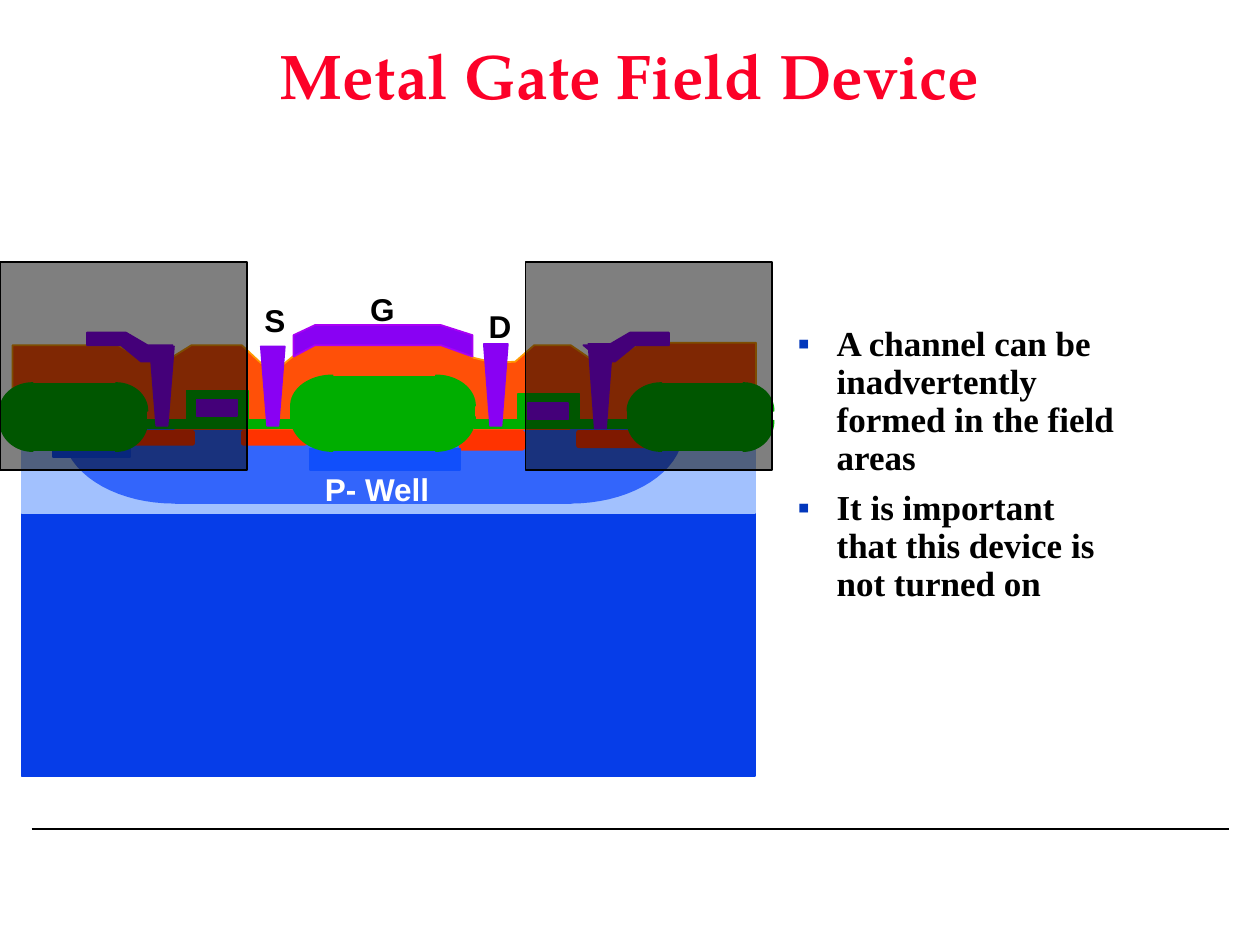
import math

from lxml import etree
from pptx import Presentation
from pptx.dml.color import RGBColor
from pptx.enum import shapes, text
from pptx.oxml.ns import qn
from pptx.util import Inches, Pt

BLACK = RGBColor(0x00, 0x00, 0x00)
WHITE = RGBColor(0xFF, 0xFF, 0xFF)
TITLE_RED = RGBColor(0xFC, 0x01, 0x28)
BULLET_BLUE = RGBColor(0x02, 0x37, 0xBC)
INSULATOR = RGBColor(0xFF, 0x50, 0x08)
INSULATOR_EDGE = RGBColor(0xFE, 0x9B, 0x03)
SUBSTRATE = RGBColor(0x06, 0x3D, 0xE8)
EPI = RGBColor(0xA2, 0xC1, 0xFE)
WELL = RGBColor(0x33, 0x65, 0xFB)
CHANNEL = RGBColor(0x11, 0x4F, 0xFB)
OXIDE = RGBColor(0x00, 0xAE, 0x00)
DIFFUSION = RGBColor(0xFF, 0x33, 0x00)
METAL = RGBColor(0x89, 0x01, 0xF3)
GATE_EDGE = RGBColor(0xAA, 0x01, 0xF5)

RECT = shapes.MSO_SHAPE.RECTANGLE
ROUND = shapes.MSO_SHAPE.ROUNDED_RECTANGLE


class Region:
    """Draws on a slide, with lengths in inches from a box's top left corner."""

    def __init__(self, slide, left, top):
        self.shapes, self.left, self.top = slide.shapes, left, top

    def at(self, x, y):
        return Inches(self.left + x), Inches(self.top + y)

    def paint(self, sp, fill, line=None):
        sp.shadow.inherit = False
        sp.fill.solid()
        sp.fill.fore_color.rgb = fill
        sp.line.color.rgb = fill if line is None else line
        sp.line.width = Pt(1)
        return sp

    def block(self, x, y, w, h, fill, line=None, kind=RECT):
        sp = self.shapes.add_shape(kind, *self.at(x, y), Inches(w), Inches(h))
        if kind == ROUND:
            sp.adjustments[0] = 0.125
        return self.paint(sp, fill, line)

    def outline(self, points, fill, line=None):
        start, *rest = [self.at(x, y) for x, y in points]
        builder = self.shapes.build_freeform(*start)
        builder.add_line_segments(rest, close=True)
        return self.paint(builder.convert_to_shape(), fill, line)

    def quarter(self, cx, cy, rx, ry, fill):
        """Quarter ellipse; the signs of rx and ry choose the quadrant."""
        angles = [math.radians(a) for a in range(0, 91, 5)]
        arc = [(cx + rx * math.cos(a), cy + ry * math.sin(a)) for a in angles]
        self.outline([(cx, cy)] + arc, fill)

    def label(self, x, y, w, words, color):
        box = self.shapes.add_textbox(*self.at(x, y), Inches(w), Inches(0.4))
        tf = box.text_frame
        tf.word_wrap = False
        add_run(tf.paragraphs[0], words, "Arial", 18, color)


def add_run(p, words, font, size, color):
    r = p.add_run()
    r.text = words
    r.font.name, r.font.size, r.font.bold = font, Pt(size), True
    r.font.color.rgb = color


def place(sp, left, top, width, height):
    sp.left, sp.top = Inches(left), Inches(top)
    sp.width, sp.height = Inches(width), Inches(height)
    sp.text_frame.auto_size = text.MSO_AUTO_SIZE.NONE


def add_bullet(p, color, char):
    pPr = p._p.get_or_add_pPr()
    pPr.set("marL", str(Inches(0.31)))
    pPr.set("indent", str(-Inches(0.31)))
    clr = etree.SubElement(pPr, qn("a:buClr"))
    etree.SubElement(clr, qn("a:srgbClr"), val=str(color))
    etree.SubElement(pPr, qn("a:buChar"), char=char)


def add_title(slide, box, words):
    sp = slide.shapes.title
    place(sp, *box)
    sp.text_frame.vertical_anchor = text.MSO_ANCHOR.MIDDLE
    p = sp.text_frame.paragraphs[0]
    p.alignment, p.line_spacing = text.PP_ALIGN.CENTER, 0.9
    add_run(p, words, "TeX Gyre Pagella", 36, TITLE_RED)


def add_points(slide, box, points):
    sp = slide.placeholders[1]
    place(sp, *box)
    tf = sp.text_frame
    for i, words in enumerate(points):
        p = tf.add_paragraph() if i else tf.paragraphs[0]
        p.line_spacing, p.space_before = 0.9, Pt(7.5)
        add_bullet(p, BULLET_BLUE, "▪")
        add_run(p, words, "Times New Roman", 20, BLACK)


def add_footer_rule(slide, left, right, y):
    line = slide.shapes.add_connector(
        shapes.MSO_CONNECTOR.STRAIGHT,
        Inches(left), Inches(y), Inches(right), Inches(y))
    line.line.color.rgb = BLACK
    line.line.width = Pt(1)
    etree.SubElement(line._element.spPr, qn("a:effectLst"))


def draw_silicon(area):
    contour = [
        (0.1, 1.41), (0.1, 0.74), (0.94, 0.74), (1.15, 0.86), (1.31, 0.87),
        (1.52, 0.74), (1.92, 0.74), (2.07, 0.88), (2.25, 0.89), (2.46, 0.72),
        (3.55, 0.72), (3.76, 0.84), (3.93, 0.88), (4.09, 0.87), (4.24, 0.74),
        (4.53, 0.74), (4.72, 0.87), (4.87, 0.85), (5.08, 0.72), (6, 0.72),
        (6, 1.47)]
    area.outline(contour, INSULATOR, INSULATOR_EDGE)
    area.block(0.17, 1.42, 5.82, 2.74, SUBSTRATE)
    area.block(0.17, 1.42, 5.82, 0.65, EPI)
    area.quarter(1.38, 1.41, -0.88, 0.58, WELL)
    area.quarter(4.53, 1.41, 0.89, 0.58, WELL)
    area.block(1.39, 1.42, 3.14, 0.57, WELL)
    area.label(2.48, 1.68, 1.04, "P- Well", WHITE)


def draw_transistor_parts(area):
    for x in (1.17, 3.76):
        area.block(x, 1.33, 1.24, 0.07, OXIDE)
    area.block(3.65, 1.42, 0.51, 0.15, DIFFUSION, kind=ROUND)
    area.block(2.46, 1.56, 1.19, 0.17, CHANNEL)
    area.block(0.42, 1.52, 0.61, 0.11, CHANNEL)
    for x, y in ((1.48, 1.1), (4.11, 1.13)):
        area.block(x, y, 0.49, 0.26, OXIDE)
        area.block(x + 0.08, y + 0.07, 0.32, 0.13, METAL)
    for x, w, h in ((4.58, 0.57, 0.13), (1.03, 0.51, 0.11), (1.92, 0.51, 0.11)):
        area.block(x, 1.42, w, h, DIFFUSION, kind=ROUND)


def draw_field_oxide(area, left, right, core, upper, lower, top, bottom):
    """Rounded oxide: four quarter ellipses, a band and a core (x from, to)."""
    start, end = core
    for y, edge in ((lower, bottom), (upper, top)):
        area.quarter(start, y, left - start, edge - y, OXIDE)
        area.quarter(end, y, right - end, edge - y, OXIDE)
    area.block(left, upper, right - left - 0.01, lower - upper, OXIDE)
    area.block(start, top + 0.01, end - start, bottom - top - 0.02, OXIDE)


def draw_metal(area):
    for x, y, h in ((1.19, 0.75, 0.63), (2.07, 0.75, 0.63),
                    (3.84, 0.73, 0.65), (4.67, 0.73, 0.67)):
        area.outline([(x, y), (x + 0.19, y), (x + 0.14, y + h),
                      (x + 0.05, y + h)], METAL)
    strap = [(1.21, 0.87), (1.12, 0.87), (0.96, 0.74), (0.69, 0.74),
             (0.69, 0.64), (1, 0.64), (1.17, 0.74), (1.37, 0.74)]
    area.outline(strap, METAL)
    area.outline([(6 - x, y) for x, y in strap], METAL)


def draw_gate(area):
    area.outline([(2.33, 0.83), (2.33, 0.66), (2.5, 0.58), (3.5, 0.58),
                  (3.75, 0.66), (3.75, 0.83), (3.5, 0.74), (2.5, 0.74)],
                 METAL, GATE_EDGE)
    for x, y, w, words in ((2, 0.34, 0.37, "S"), (2.84, 0.25, 0.4, "G"),
                           (3.78, 0.39, 0.38, "D")):
        area.label(x, y, w, words, BLACK)


def draw_shade(area, x):
    sp = area.block(x, 0.08, 1.96, 1.65, BLACK)
    color = sp._element.spPr.find(qn("a:solidFill")).find(qn("a:srgbClr"))
    etree.SubElement(color, qn("a:alpha"), val="50000")


def draw_device(slide, left, top):
    area = Region(slide, left, top)
    draw_silicon(area)
    draw_transistor_parts(area)
    draw_field_oxide(area, 2.31, 3.77, (2.64, 3.46), 1.22, 1.31, 0.98, 1.58)
    draw_metal(area)
    side = dict(upper=1.26, lower=1.34, top=1.04, bottom=1.58)
    draw_field_oxide(area, 0, 1.17, (0.26, 0.92), **side)
    draw_gate(area)
    draw_field_oxide(area, 4.98, 6.14, (5.25, 5.9), **side)
    for x in (4.17, 0):
        draw_shade(area, x)


def main():
    prs = Presentation()
    prs.slide_width, prs.slide_height = Inches(10), Inches(7.5)
    slide = prs.slides.add_slide(prs.slide_layouts[1])
    add_footer_rule(slide, 0.25, 9.75, 6.58)
    add_title(slide, (1.08, 0, 7.83, 1.25), "Metal Gate Field Device")
    add_points(slide, (6.23, 2.54, 2.79, 2.59), [
        "A channel can be inadvertently formed in the field areas",
        "It is important that this device is not turned on"])
    draw_device(slide, 0, 2)
    prs.save("out.pptx")


if __name__ == "__main__":
    main()
